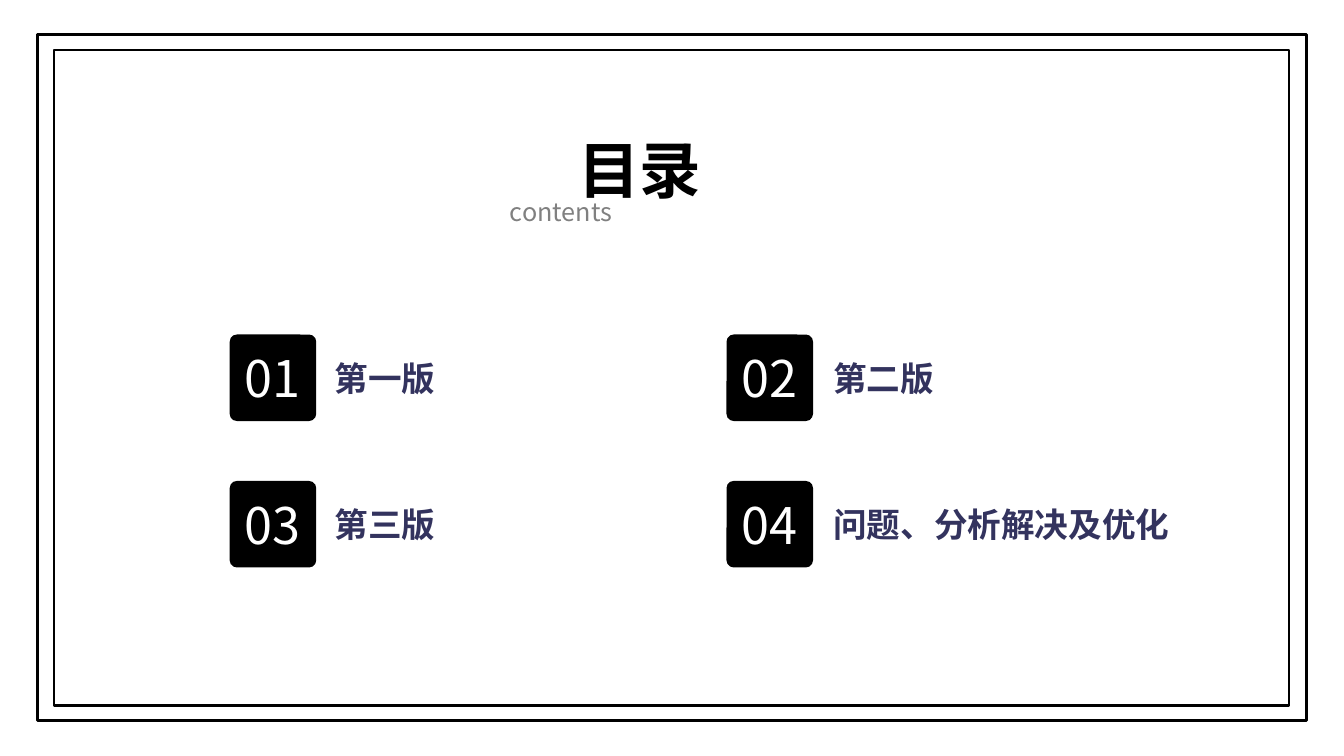
from lxml.etree import SubElement
from pptx import Presentation
from pptx.dml.color import RGBColor
from pptx.enum.shapes import MSO_SHAPE
from pptx.enum.text import MSO_ANCHOR, MSO_AUTO_SIZE, PP_ALIGN
from pptx.oxml.ns import qn
from pptx.util import Cm, Pt

FONT = "Noto Sans CJK SC"
COLOURS = {"black": "000000", "white": "FFFFFF", "grey": "808080", "navy": "33335E"}
ENTRIES = ["第一版", "第二版", "第三版", "问题、分析解决及优化"]
COLUMN_LEFTS = [5.79, 18.31]
LABEL_LEFTS = [8.18, 20.75]
FIRST_ROW_TOP = 8.43
ROW_STEP = 3.69
TILE_SIZE = 2.18
LABEL_HEIGHT = 1.27
LABEL_WIDTH_EXTRA = 0.51
CHARACTER_WIDTH = 0.85


def colour(name):
    return RGBColor.from_string(COLOURS[name])


def write_text(shape, text, size, colour_name, alignment, bold=False):
    frame = shape.text_frame
    frame.text = text
    frame.vertical_anchor = MSO_ANCHOR.MIDDLE
    paragraph = frame.paragraphs[0]
    paragraph.alignment = alignment
    font = paragraph.font
    font.size = Pt(size)
    font.bold = bold
    font.color.rgb = colour(colour_name)
    font.name = FONT
    properties = paragraph._p.pPr.find(qn("a:defRPr"))
    SubElement(properties, qn("a:ea")).set("typeface", FONT)


def add_frame(slide, left, top, width, height, line_width):
    shape = slide.shapes.add_shape(
        MSO_SHAPE.RECTANGLE, Cm(left), Cm(top), Cm(width), Cm(height))
    shape.shadow.inherit = False
    shape.fill.background()
    shape.line.color.rgb = colour("black")
    shape.line.width = Pt(line_width)


def set_title(slide, text):
    title = slide.shapes.title
    title.left, title.top = Cm(12.27), Cm(3.18)
    title.width, title.height = Cm(7.72), Cm(2.13)
    write_text(title, text, 44, "black", PP_ALIGN.CENTER, bold=True)
    title.text_frame.paragraphs[0].line_spacing = 1.0
    title.text_frame.auto_size = MSO_AUTO_SIZE.SHAPE_TO_FIT_TEXT


def add_text(slide, text, left, top, width, height, size, colour_name,
             alignment=PP_ALIGN.LEFT, bold=False, wrap=True):
    box = slide.shapes.add_textbox(Cm(left), Cm(top), Cm(width), Cm(height))
    box.text_frame.word_wrap = wrap
    box.text_frame.auto_size = MSO_AUTO_SIZE.SHAPE_TO_FIT_TEXT
    write_text(box, text, size, colour_name, alignment, bold)


def add_number_tile(slide, number, left, top):
    tile = slide.shapes.add_shape(
        MSO_SHAPE.ROUNDED_RECTANGLE, Cm(left), Cm(top), Cm(TILE_SIZE), Cm(TILE_SIZE))
    tile.adjustments[0] = 0.083
    tile.shadow.inherit = False
    tile.fill.solid()
    tile.fill.fore_color.rgb = colour("black")
    tile.line.fill.background()
    write_text(tile, f"{number:02d}", 36, "white", PP_ALIGN.CENTER)


def add_entry(slide, index, text):
    row, column = divmod(index, len(COLUMN_LEFTS))
    top = FIRST_ROW_TOP + row * ROW_STEP
    add_number_tile(slide, index + 1, COLUMN_LEFTS[column], top)
    add_text(slide, text, LABEL_LEFTS[column], top + (TILE_SIZE - LABEL_HEIGHT) / 2,
             len(text) * CHARACTER_WIDTH + LABEL_WIDTH_EXTRA, LABEL_HEIGHT,
             24, "navy", bold=True, wrap=False)


def main():
    presentation = Presentation()
    presentation.slide_width = Cm(33.87)
    presentation.slide_height = Cm(19.05)
    slide = presentation.slides.add_slide(presentation.slide_layouts[5])
    add_frame(slide, 0.94, 0.86, 31.98, 17.3, 2.25)
    add_frame(slide, 1.37, 1.27, 31.12, 16.51, 1.5)
    set_title(slide, "目录")
    add_text(slide, "contents", 12.6, 4.83, 7.06, 1.02, 18, "grey", PP_ALIGN.JUSTIFY)
    for index, text in enumerate(ENTRIES):
        add_entry(slide, index, text)
    presentation.save("out.pptx")


if __name__ == "__main__":
    main()
